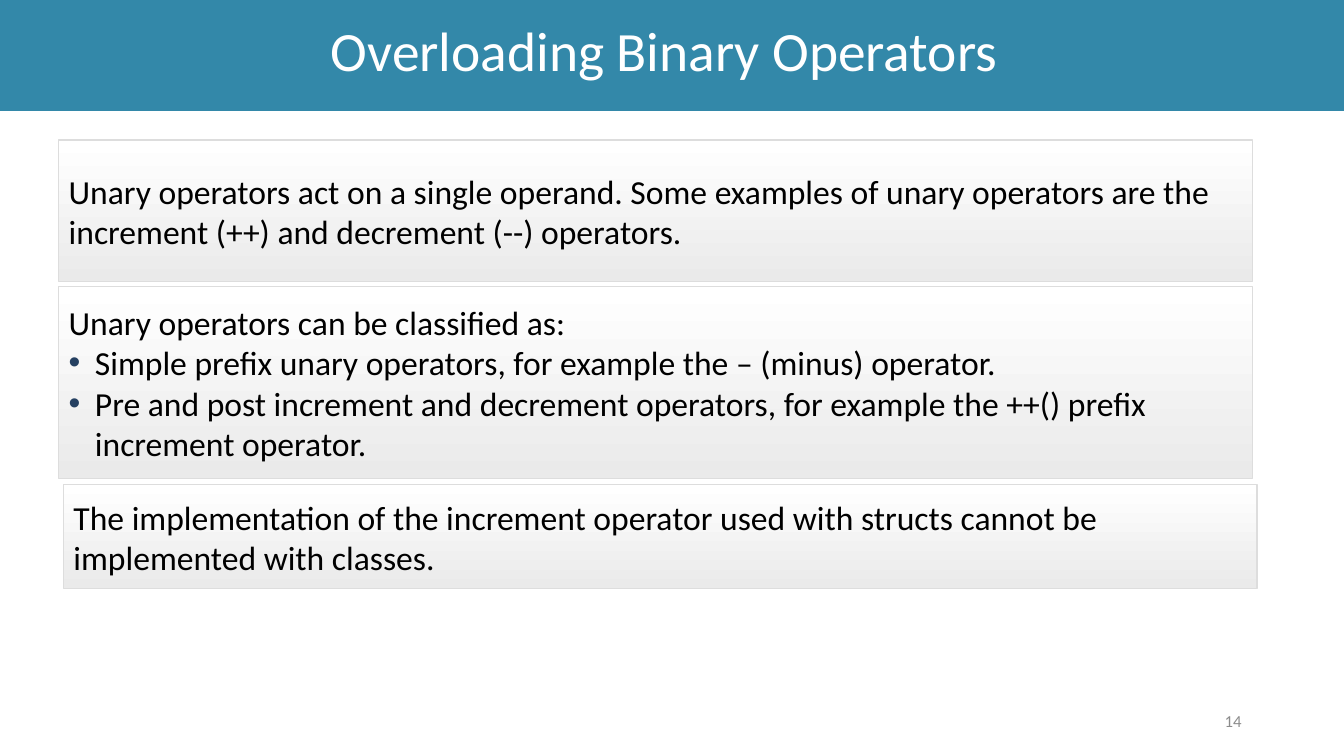
"""Build the slide on overloading operators."""
from lxml.etree import SubElement
from pptx import Presentation
from pptx.dml.color import RGBColor
from pptx.enum.shapes import MSO_SHAPE as Preset
from pptx.enum.text import MSO_ANCHOR as Anchor, PP_ALIGN as Align
from pptx.oxml.ns import qn
from pptx.util import Pt

TITLE = "Overloading Binary Operators"
PAGE = "14"
PANELS = [
    {"left": 42, "top": 100, "height": 101, "lead":
     "Unary operators act on a single operand. Some examples of unary operators "
     "are the increment (++) and decrement (--) operators.", "points": []},
    {"left": 42, "top": 204.5, "height": 137.5, "lead":
     "Unary operators can be classified as:", "points": [
         "Simple prefix unary operators, for example the – (minus) operator.",
         "Pre and post increment and decrement operators, for example the ++() "
         "prefix increment operator."]},
    {"left": 45.4, "top": 346.3, "height": 74.2, "lead":
     "The implementation of the increment operator used with structs cannot be "
     "implemented with classes.", "points": []},
]

SLIDE_WIDTH, SLIDE_HEIGHT = 960, 540
PANEL_WIDTH = 852.5
BULLET_INDENT = 18.75
WHITE = RGBColor(0xFF, 0xFF, 0xFF)
BLACK = RGBColor(0, 0, 0)
TEAL = RGBColor(0x33, 0x88, 0xA9)
NAVY = RGBColor(0x25, 0x40, 0x61)
PALE = RGBColor(0xEA, 0xEA, 0xEA)
EDGE = RGBColor(0xDD, 0xDD, 0xDD)
GREY = RGBColor(0x8C, 0x8C, 0x8C)

TITLE_FRAME = {"margin_right": Pt(18), "margin_bottom": Pt(6.5)}
TITLE_FORMAT = {"alignment": Align.CENTER, "line_spacing": 0.9}
BODY_FORMAT = {"alignment": Align.LEFT}
PAGE_FORMAT = {"alignment": Align.RIGHT}


def apply(target, values):
    for name, value in values.items():
        setattr(target, name, value)


def add_bullet(paragraph):
    properties = paragraph._p.get_or_add_pPr()
    properties.set("marL", str(Pt(BULLET_INDENT)))
    properties.set("indent", str(-Pt(BULLET_INDENT)))
    colour = SubElement(properties, qn("a:buClr"))
    SubElement(colour, qn("a:srgbClr"), val=str(NAVY))
    SubElement(properties, qn("a:buFont"), typeface="Arial")
    SubElement(properties, qn("a:buChar"), char="•")


def write(shape, lines, size, colour, layout, bulleted=()):
    frame = shape.text_frame
    apply(frame, {"word_wrap": True, "vertical_anchor": Anchor.MIDDLE})
    for index, line in enumerate(lines):
        paragraph = frame.add_paragraph() if index else frame.paragraphs[0]
        paragraph.text = line
        if line in bulleted:
            add_bullet(paragraph)
        apply(paragraph, layout)
        apply(paragraph.font, {"name": "Calibri", "size": Pt(size)})
        paragraph.font.color.rgb = colour


def add_rectangle(slide, left, top, width, height):
    rectangle = slide.shapes.add_shape(
        Preset.RECTANGLE, Pt(left), Pt(top), Pt(width), Pt(height))
    rectangle.shadow.inherit = False
    return rectangle


def add_banner(slide):
    banner = add_rectangle(slide, 0, 0, SLIDE_WIDTH, 79.2)
    banner.fill.solid()
    banner.fill.fore_color.rgb = TEAL
    banner.line.fill.background()
    apply(banner.text_frame, TITLE_FRAME)
    write(banner, [TITLE], 39.6, WHITE, TITLE_FORMAT)


def add_panel(slide, left, top, height, lead, points):
    panel = add_rectangle(slide, left, top, PANEL_WIDTH, height)
    panel.fill.gradient()
    panel.fill.gradient_angle = 270
    for stop, colour in zip(panel.fill.gradient_stops, (WHITE, PALE)):
        stop.color.rgb = colour
    panel.line.color.rgb = EDGE
    panel.line.width = Pt(1)
    write(panel, [lead, *points], 24, BLACK, BODY_FORMAT, points)


def main():
    deck = Presentation()
    apply(deck, {"slide_width": Pt(SLIDE_WIDTH), "slide_height": Pt(SLIDE_HEIGHT)})
    slide = deck.slides.add_slide(deck.slide_layouts[6])
    add_banner(slide)
    page = slide.shapes.add_textbox(Pt(678), Pt(500.5), Pt(216), Pt(28.75))
    write(page, [PAGE], 12, GREY, PAGE_FORMAT)
    for panel in PANELS:
        add_panel(slide, **panel)
    deck.save("out.pptx")


if __name__ == "__main__":
    main()
